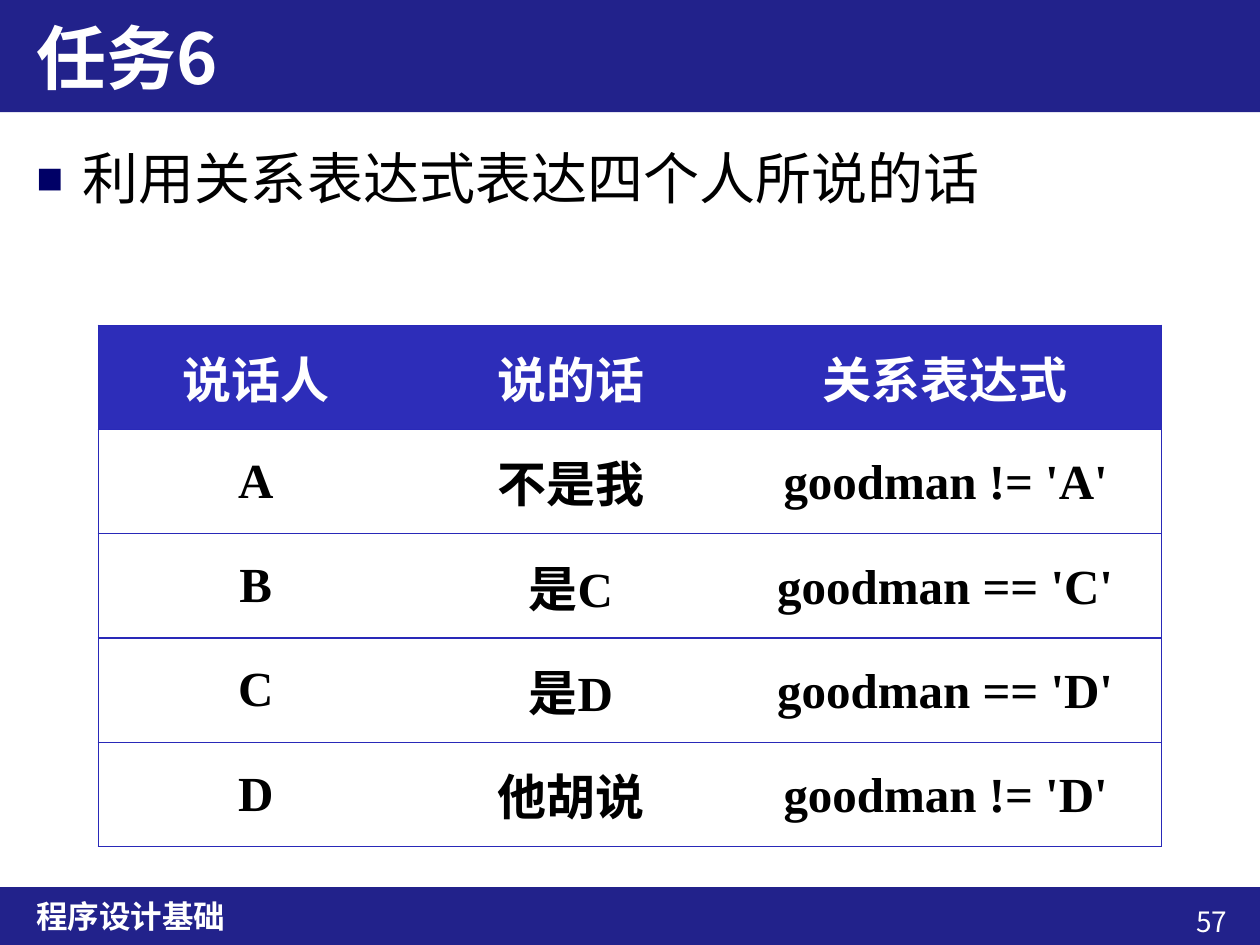
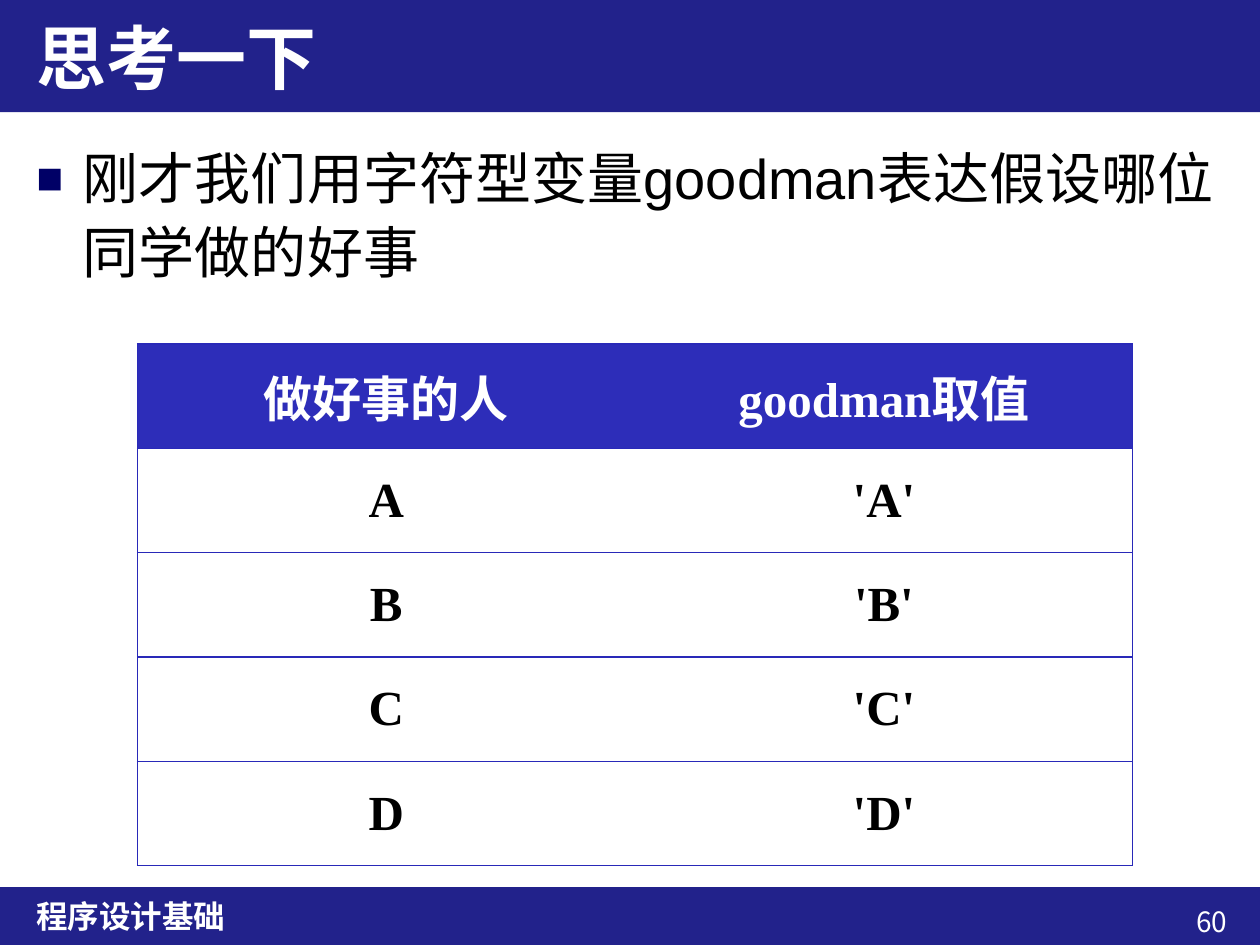
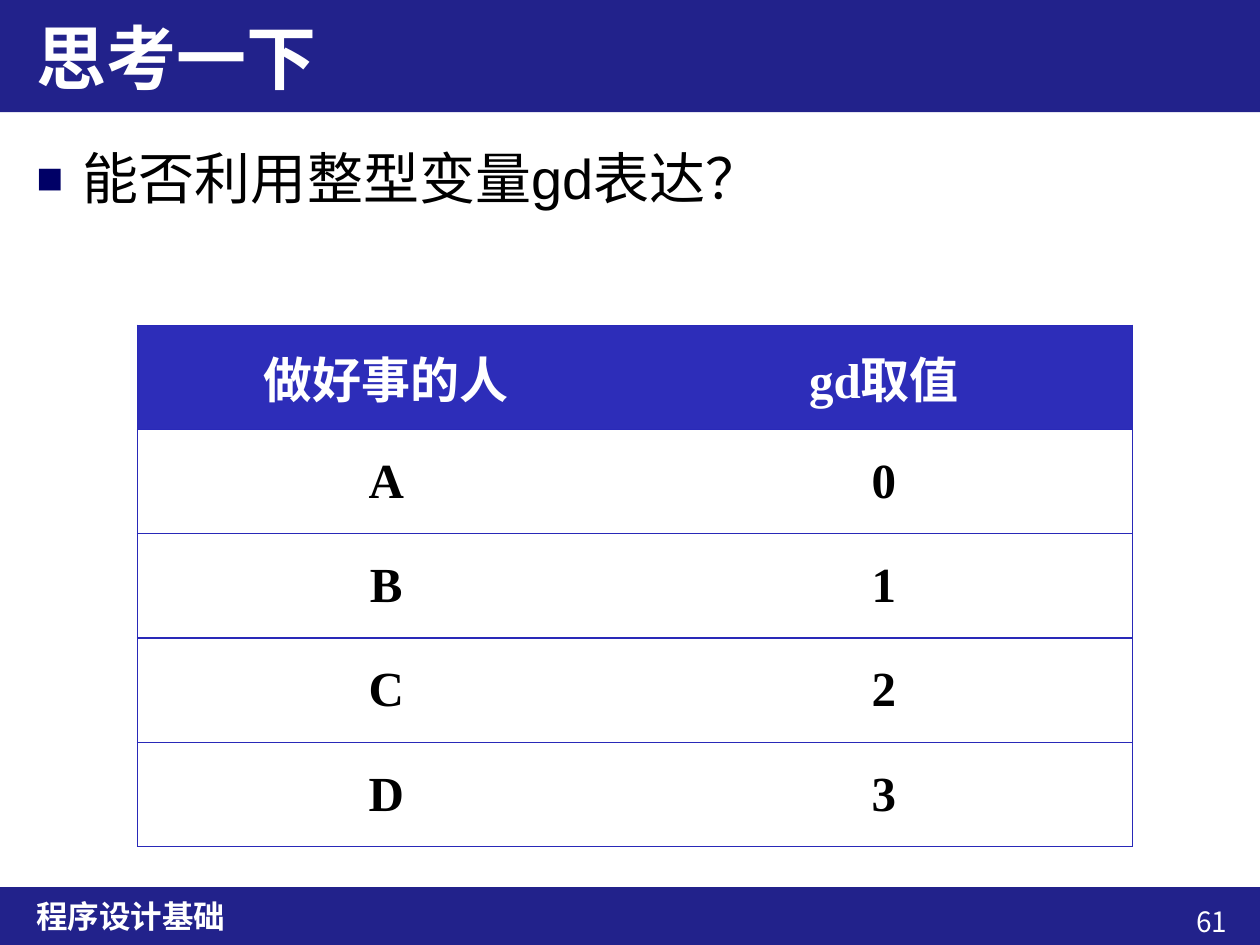
from lxml.etree import SubElement
from pptx import Presentation
from pptx.dml.color import RGBColor
from pptx.enum.shapes import MSO_SHAPE as Shape
from pptx.enum.text import MSO_ANCHOR as Anchor, MSO_AUTO_SIZE as AutoSize, PP_ALIGN as Align
from pptx.oxml.ns import qn
from pptx.util import Inches, Pt

NAVY = RGBColor(0x22, 0x22, 0x8B)
HEADER_BLUE = RGBColor(0x2D, 0x2D, 0xB9)
RULE_BLUE = RGBColor(0x29, 0x29, 0xB8)
BULLET_BLUE = RGBColor(0x00, 0x00, 0x66)
WHITE = RGBColor(0xFF, 0xFF, 0xFF)
BLACK = RGBColor(0x00, 0x00, 0x00)
CJK, SANS, SERIF = "Noto Sans CJK SC", "Arial", "Times New Roman"
PLAIN_TABLE = "{2D5ABB26-0587-4C30-8999-92F81FD0307C}"

COURSE = "程序设计基础"
LEFT, WIDTH = 0.19, 9.6
TITLE_BAND = (0, 0.89)
FOOTER_BAND = (7.04, 0.46)
TABLE_HEIGHT = 4.14
EXPRESSION_INSET = 0.12

SLIDES = [
    dict(
        number="57", title="任务6", point="利用关系表达式表达四个人所说的话",
        corner=(0.78, 2.58), columns=(2.5, 2.5, 3.44),
        rows=[("说话人", "说的话", "关系表达式"), ("A", "不是我", ""),
              ("B", "是C", ""), ("C", "是D", ""), ("D", "他胡说", "")],
        expressions=[("goodman != 'A'", 6.12), ("goodman == 'C'", 6.07),
                     ("goodman == 'D'", 6.07), ("goodman != 'D'", 6.12)],
    ),
    dict(
        number="60", title="思考一下", point="刚才我们用字符型变量goodman表达假设哪位同学做的好事",
        corner=(1.09, 2.73), columns=(3.95, 3.95),
        rows=[("做好事的人", "goodman取值"), ("A", "'A'"), ("B", "'B'"), ("C", "'C'"), ("D", "'D'")],
    ),
    dict(
        number="61", title="思考一下", point="能否利用整型变量gd表达？",
        corner=(1.09, 2.58), columns=(3.95, 3.95),
        rows=[("做好事的人", "gd取值"), ("A", "0"), ("B", "1"), ("C", "2"), ("D", "3")],
    ),
]


def write(frame, text, size, font=CJK, color=WHITE, bold=False, align=Align.LEFT):
    paragraph = frame.paragraphs[0]
    paragraph.alignment = align
    run = paragraph.add_run()
    run.text = text
    run.font.size, run.font.name, run.font.bold = Pt(size), font, bold
    run.font.color.rgb = color
    props = run.font._element
    props.set("lang", "zh-CN")
    SubElement(props, qn("a:ea"), typeface=CJK)
    return paragraph


def add_text(slide, box, text, size, anchor=Anchor.TOP, **look):
    holder = slide.shapes.add_textbox(*map(Inches, box))
    holder.text_frame.word_wrap = True
    holder.text_frame.vertical_anchor = anchor
    write(holder.text_frame, text, size, **look)
    return holder


def add_band(slide, top, height):
    band = slide.shapes.add_shape(Shape.RECTANGLE, *map(Inches, (-0.01, top, 10.01, height)))
    band.shadow.inherit = False
    band.fill.solid()
    band.fill.fore_color.rgb = NAVY
    band.line.fill.background()
    return band


def share_bands(slide, layout):
    top, height = FOOTER_BAND
    shared = [
        add_band(slide, *TITLE_BAND),
        add_band(slide, *FOOTER_BAND),
        add_text(slide, (LEFT, top, WIDTH, height), COURSE, 18, anchor=Anchor.MIDDLE, bold=True),
    ]
    for position, part in enumerate(shared, start=2):
        layout.shapes._spTree.insert(position, part._element)


def set_title(slide, text):
    title = slide.shapes.title
    top, height = TITLE_BAND
    title.left, title.top, title.width, title.height = map(Inches, (LEFT, top, WIDTH, height))
    title.text_frame.auto_size = AutoSize.NONE
    title.text_frame.vertical_anchor = Anchor.MIDDLE
    write(title.text_frame, text, 40, bold=True)


def add_point(slide, text):
    holder = add_text(slide, (LEFT, 1.04, WIDTH, 5.85), text, 32, font=SANS, color=BLACK)
    paragraph = holder.text_frame.paragraphs[0]
    paragraph.line_spacing = 1.1
    paragraph.space_before = Pt(6.4)
    props = paragraph._p.get_or_add_pPr()
    props.set("marL", str(Inches(0.37)))
    props.set("indent", str(-Inches(0.37)))
    SubElement(SubElement(props, qn("a:buClr")), qn("a:srgbClr"), val=str(BULLET_BLUE))
    SubElement(props, qn("a:buSzPct"), val="80000")
    SubElement(props, qn("a:buFont"), typeface=SANS)
    SubElement(props, qn("a:buChar"), char="■")


def rule_cell(cell, sides):
    props = cell._tc.get_or_add_tcPr()
    for side in sides:
        line = SubElement(props, qn(f"a:ln{side}"), w=str(Pt(0.75)))
        SubElement(SubElement(line, qn("a:solidFill")), qn("a:srgbClr"), val=str(RULE_BLUE))


def add_grid(slide, corner, columns, rows):
    box = (*corner, sum(columns), TABLE_HEIGHT)
    table = slide.shapes.add_table(len(rows), len(columns), *map(Inches, box)).table
    table._tbl.tblPr.find(qn("a:tableStyleId")).text = PLAIN_TABLE
    table.horz_banding = False
    for column, width in zip(table.columns, columns):
        column.width = Inches(width)
    last = len(columns) - 1
    for r, row in enumerate(rows):
        for c, text in enumerate(row):
            cell = table.cell(r, c)
            cell.vertical_anchor = Anchor.MIDDLE
            rule_cell(cell, "L" * (c == 0) + "R" * (c == last) + "TB")
            if r == 0:
                cell.fill.solid()
                cell.fill.fore_color.rgb = HEADER_BLUE
            else:
                cell.fill.background()
            if text:
                write(cell.text_frame, text, 28, font=SERIF, bold=True, align=Align.CENTER,
                      color=WHITE if r == 0 else BLACK)


def add_expressions(slide, expressions, table_top, row_height):
    for r, (expression, left) in enumerate(expressions, start=1):
        top = table_top + r * row_height + EXPRESSION_INSET
        add_text(slide, (left, top, 3.05, 0.57), expression, 28, font=SERIF, color=BLACK, bold=True)


def main():
    deck = Presentation()
    deck.slide_width, deck.slide_height = Inches(10), Inches(7.5)
    layout = deck.slide_layouts[5]
    for index, content in enumerate(SLIDES):
        slide = deck.slides.add_slide(layout)
        if index == 0:
            share_bands(slide, layout)
        set_title(slide, content["title"])
        add_text(slide, (8.59, 7.13, 1.25, 0.37), content["number"], 16, align=Align.RIGHT)
        add_point(slide, content["point"])
        add_grid(slide, content["corner"], content["columns"], content["rows"])
        add_expressions(slide, content.get("expressions", []), content["corner"][1],
                        TABLE_HEIGHT / len(content["rows"]))
    deck.save("out.pptx")


if __name__ == "__main__":
    main()
